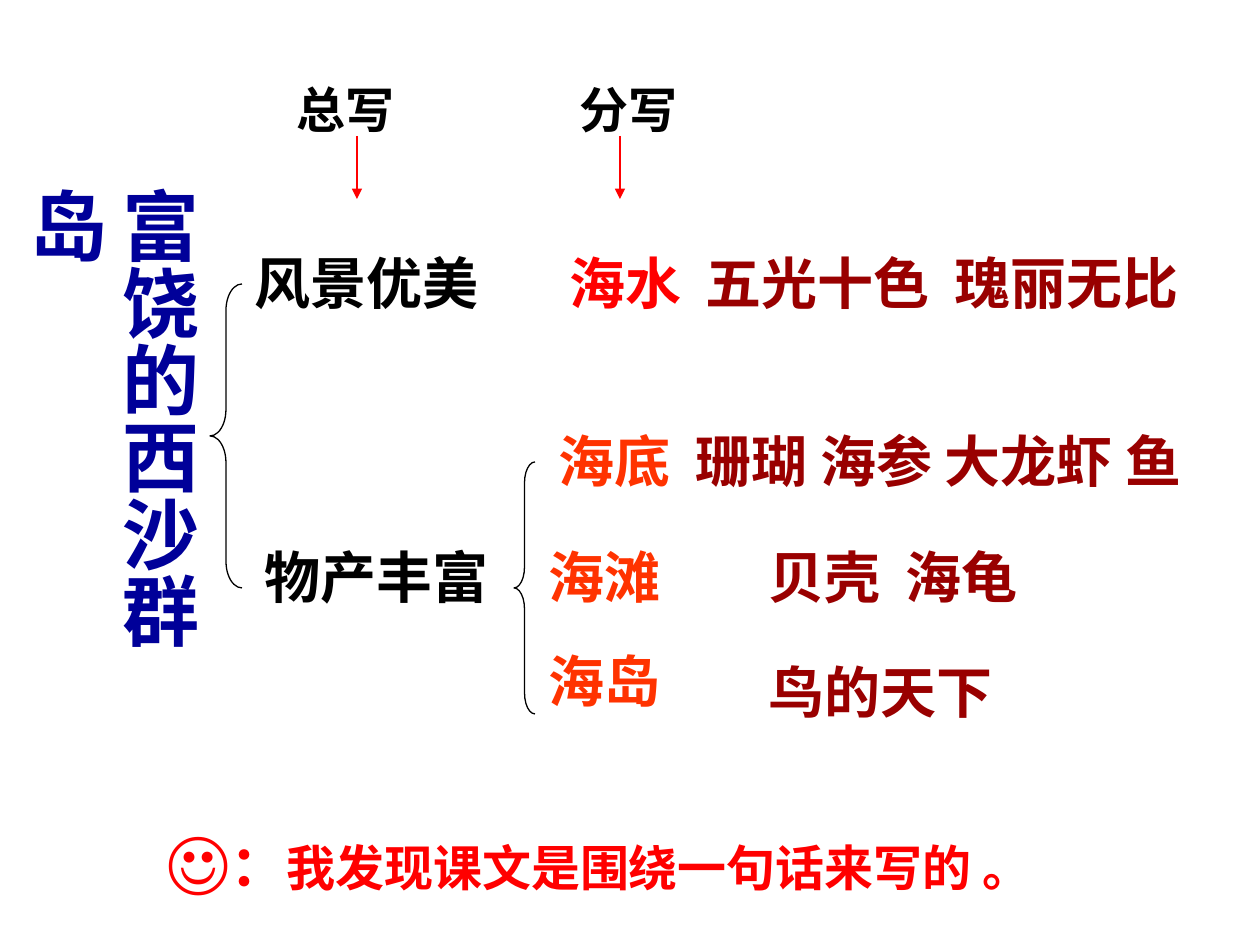
from lxml import etree
from pptx import Presentation
from pptx import util as u
from pptx.dml.color import RGBColor
from pptx.enum import shapes, text
from pptx.oxml import ns

PX = 914400 / 126
BLACK = RGBColor(0x00, 0x00, 0x00)
NAVY = RGBColor(0x00, 0x00, 0x99)
RED = RGBColor(0xFF, 0x00, 0x00)
ORANGE = RGBColor(0xFF, 0x33, 0x00)
MAROON = RGBColor(0x99, 0x00, 0x00)
SERIF = "Times New Roman"
SANS = "Noto Sans CJK SC"


def px(length):
    return u.Emu(round(length * PX))


def add_label(slide, left, top, width, height, runs, color, font=SERIF, tab=None):
    label = slide.shapes.add_textbox(px(left), px(top), px(width), px(height))
    frame = label.text_frame
    frame.word_wrap = True
    frame.auto_size = text.MSO_AUTO_SIZE.SHAPE_TO_FIT_TEXT
    paragraph = frame.paragraphs[0]
    if tab:
        properties = paragraph._p.get_or_add_pPr()
        tabs = etree.SubElement(properties, ns.qn("a:tabLst"))
        etree.SubElement(tabs, ns.qn("a:tab"), pos=str(px(tab)), algn="l")
    for words, size in runs:
        run = paragraph.add_run()
        run.text = words
        run.font.name = font
        run.font.size = u.Pt(size)
        run.font.bold = True
        run.font.color.rgb = color
    return label


presentation = Presentation()
presentation.slide_width = px(1260)
presentation.slide_height = px(945)
slide = presentation.slides.add_slide(presentation.slide_layouts[6])

topic = add_label(slide, 94, 175, 117, 556, [("富饶的西沙群岛", 44)], NAVY)
topic.text_frame.margin_left = topic.text_frame.margin_right = u.Inches(0.05)
topic.text_frame.margin_top = topic.text_frame.margin_bottom = u.Inches(0.1)
topic.text_frame._txBody.bodyPr.set("vert", "eaVert")

labels = [
    ("风景优美", 242, 242, 336, 81, BLACK, SERIF, None),
    ("物产丰富", 252, 536, 262, 81, BLACK, SERIF, None),
    ("海水", 557, 242, 158, 81, RED, SERIF, None),
    ("五光十色\t瑰丽无比", 693, 242, 525, 147, MAROON, SERIF, 249),
    ("海底", 546, 420, 158, 183, ORANGE, SERIF, None),
    ("珊瑚 海参 大龙虾 鱼", 683, 420, 577, 81, MAROON, SANS, None),
    ("海滩", 536, 536, 147, 81, ORANGE, SERIF, None),
    ("贝壳\t海龟", 756, 536, 399, 81, MAROON, SANS, 137),
    ("海岛", 536, 640, 220, 81, ORANGE, SERIF, None),
    ("鸟的天下", 756, 651, 315, 81, MAROON, SERIF, None),
]
for words, left, top, width, height, color, font, tab in labels:
    add_label(slide, left, top, width, height, [(words, 32)], color, font, tab)

for words, left, width, arrow_x in [("总写", 284, 158, 357), ("分写", 567, 136, 620)]:
    add_label(slide, left, 73, width, 72, [(words, 28)], BLACK)
    arrow = slide.shapes.add_connector(
        shapes.MSO_CONNECTOR.STRAIGHT, px(arrow_x), px(136), px(arrow_x), px(199))
    arrow.line.color.rgb = RED
    arrow.line.width = u.Pt(0.75)
    etree.SubElement(arrow.line._get_or_add_ln(), ns.qn("a:tailEnd"), type="triangle")
    etree.SubElement(arrow._element.spPr, ns.qn("a:effectLst"))

for left, top, width, height, curve in [(210, 284, 32, 304, 0.83), (514, 462, 21, 252, 1)]:
    brace = slide.shapes.add_shape(
        shapes.MSO_SHAPE.LEFT_BRACE, px(left), px(top), px(width), px(height))
    brace.adjustments[0] = curve
    brace.shadow.inherit = False
    brace.fill.background()
    brace.line.color.rgb = BLACK
    brace.line.width = u.Pt(0.75)

add_label(slide, 154, 810, 953, 97,
          [("☺", 40), ("：", 32), ("我发现课文是围绕一句话来写的 。", 28)], RED)

presentation.save("out.pptx")
